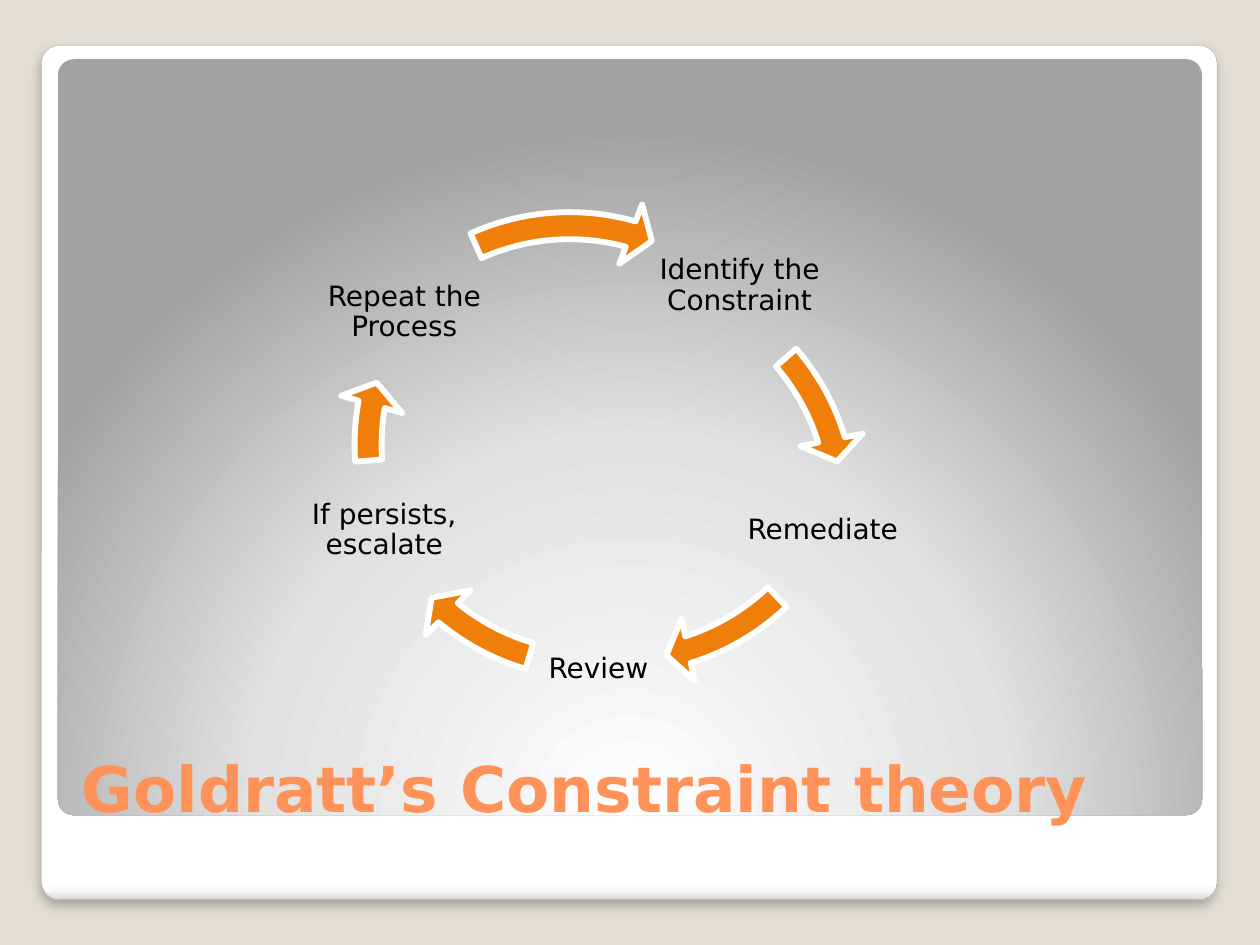
from lxml.etree import SubElement
from pptx import Presentation
from pptx.dml.color import RGBColor
from pptx.enum.shapes import MSO_SHAPE
from pptx.enum.text import MSO_ANCHOR, PP_ALIGN
from pptx.oxml.ns import qn
from pptx.util import Inches, Pt

FONT = "DejaVu Sans"
BEIGE = RGBColor(0xE3, 0xDE, 0xD1)
WHITE = RGBColor(0xFF, 0xFF, 0xFF)
NEAR_WHITE = RGBColor(0xF7, 0xF7, 0xF7)
EDGE_GRAY = RGBColor(0xDA, 0xDA, 0xDA)
LIGHT_GRAY = RGBColor(0xE1, 0xE1, 0xE1)
DARK_GRAY = RGBColor(0xA2, 0xA2, 0xA2)
LINE_GRAY = RGBColor(0xA4, 0xA4, 0xA4)
ORANGE = RGBColor(0xF0, 0x7F, 0x09)
TITLE_ORANGE = RGBColor(0xFF, 0x92, 0x58)
BLACK = RGBColor(0, 0, 0)

CARD_STOPS = [(0, WHITE), (98, WHITE), (99, NEAR_WHITE), (100, EDGE_GRAY)]
PANEL_STOPS = [(0, WHITE), (55, LIGHT_GRAY), (100, DARK_GRAY)]
ARROW_SIZE = 4.12
STEP_HEIGHT = 1.1

STEPS = [
    ("Identify the Constraint", 5.19, 1.72, 1.36),
    ("Remediate", 5.85, 3.66, 1.36),
    ("Review", 4.2, 4.76, 1.1),
    ("If persists, escalate", 2.37, 3.66, 1.36),
    ("Repeat the Process", 2.53, 1.93, 1.36),
]
ARROWS = [
    (2.81, 1.96, 319.19, 343.01),
    (2.86, 1.37, 46.35, 72.61),
    (2.65, 1.41, 106.32, 129.62),
    (2.67, 1.47, 176.01, 190.22),
    (2.46, 1.54, 245.8, 285.59),
]


def add_child(parent, tag, **attributes):
    return SubElement(parent, qn(tag), {key: str(value) for key, value in attributes.items()})


def add_rounded_panel(slide, left, top, width, height, stops):
    shape = slide.shapes.add_shape(
        MSO_SHAPE.ROUNDED_RECTANGLE, Inches(left), Inches(top), Inches(width), Inches(height)
    )
    shape.adjustments[0] = 2.1 / 100
    shape.shadow.inherit = False
    shape.line.fill.background()
    shape.fill.gradient()
    gradient = shape.element.spPr.find(qn("a:gradFill"))
    for child in list(gradient):
        gradient.remove(child)
    stop_list = add_child(gradient, "a:gsLst")
    for percent, color in stops:
        stop = add_child(stop_list, "a:gs", pos=percent * 1000)
        add_child(stop, "a:srgbClr", val=color)
    return shape, gradient


def add_card(slide):
    card, gradient = add_rounded_panel(slide, 0.33, 0.36, 9.33, 6.78, CARD_STOPS)
    add_child(gradient, "a:lin", ang=90 * 60000, scaled=0)
    card.line.color.rgb = LINE_GRAY
    card.line.width = Pt(0.16)
    effects = card.element.spPr.find(qn("a:effectLst"))
    shadow = add_child(
        effects, "a:outerShdw", blurRad=Pt(6), dist=Pt(4), dir=90 * 60000, algn="tl", rotWithShape=0
    )
    shadow_color = add_child(shadow, "a:srgbClr", val=BLACK)
    add_child(shadow_color, "a:alpha", val=25000)


def add_spotlight_panel(slide):
    gradient = add_rounded_panel(slide, 0.46, 0.47, 9.08, 6, PANEL_STOPS)[1]
    glow = add_child(gradient, "a:path", path="circle")
    add_child(glow, "a:fillToRect", l=50000, t=175000, r=50000, b=-75000)


def add_text(shapes, text, left, top, width, height, size, color, anchor):
    box = shapes.add_textbox(Inches(left), Inches(top), Inches(width), Inches(height))
    frame = box.text_frame
    frame.word_wrap = True
    frame.vertical_anchor = anchor
    frame.text = text
    font = frame.paragraphs[0].runs[0].font
    font.name = FONT
    font.size = Pt(size)
    font.color.rgb = color
    return frame


def add_step(shapes, text, left, top, width):
    frame = add_text(shapes, text, left, top, width, STEP_HEIGHT, 16, BLACK, MSO_ANCHOR.MIDDLE)
    frame.margin_left = frame.margin_right = frame.margin_top = frame.margin_bottom = 0
    paragraph = frame.paragraphs[0]
    paragraph.alignment = PP_ALIGN.CENTER
    paragraph.line_spacing = 0.9


def add_cycle_arrow(shapes, left, top, start, end):
    arrow = shapes.add_shape(
        MSO_SHAPE.CIRCULAR_ARROW, Inches(left), Inches(top), Inches(ARROW_SIZE), Inches(ARROW_SIZE)
    )
    degree = 0.6
    values = [5.2 / 100, 5.6 * degree, end * degree, start * degree, 6.1 / 100]
    for index, value in enumerate(values):
        arrow.adjustments[index] = value
    arrow.shadow.inherit = False
    arrow.fill.solid()
    arrow.fill.fore_color.rgb = ORANGE
    arrow.line.color.rgb = WHITE
    arrow.line.width = Pt(3.35)


def main():
    presentation = Presentation()
    presentation.slide_width = Inches(10)
    presentation.slide_height = Inches(7.5)
    slide = presentation.slides.add_slide(presentation.slide_layouts[6])
    slide.background.fill.solid()
    slide.background.fill.fore_color.rgb = BEIGE

    add_card(slide)
    add_spotlight_panel(slide)
    title = add_text(
        slide.shapes, "Goldratt’s Constraint theory", 0.55, 5.45, 8.95, 1.15,
        36, TITLE_ORANGE, MSO_ANCHOR.BOTTOM,
    )
    title.paragraphs[0].runs[0].font.bold = True

    cycle = slide.shapes.add_group_shape()
    for step, arrow in zip(STEPS, ARROWS):
        add_step(cycle.shapes, *step)
        add_cycle_arrow(cycle.shapes, *arrow)

    presentation.save("out.pptx")


if __name__ == "__main__":
    main()
